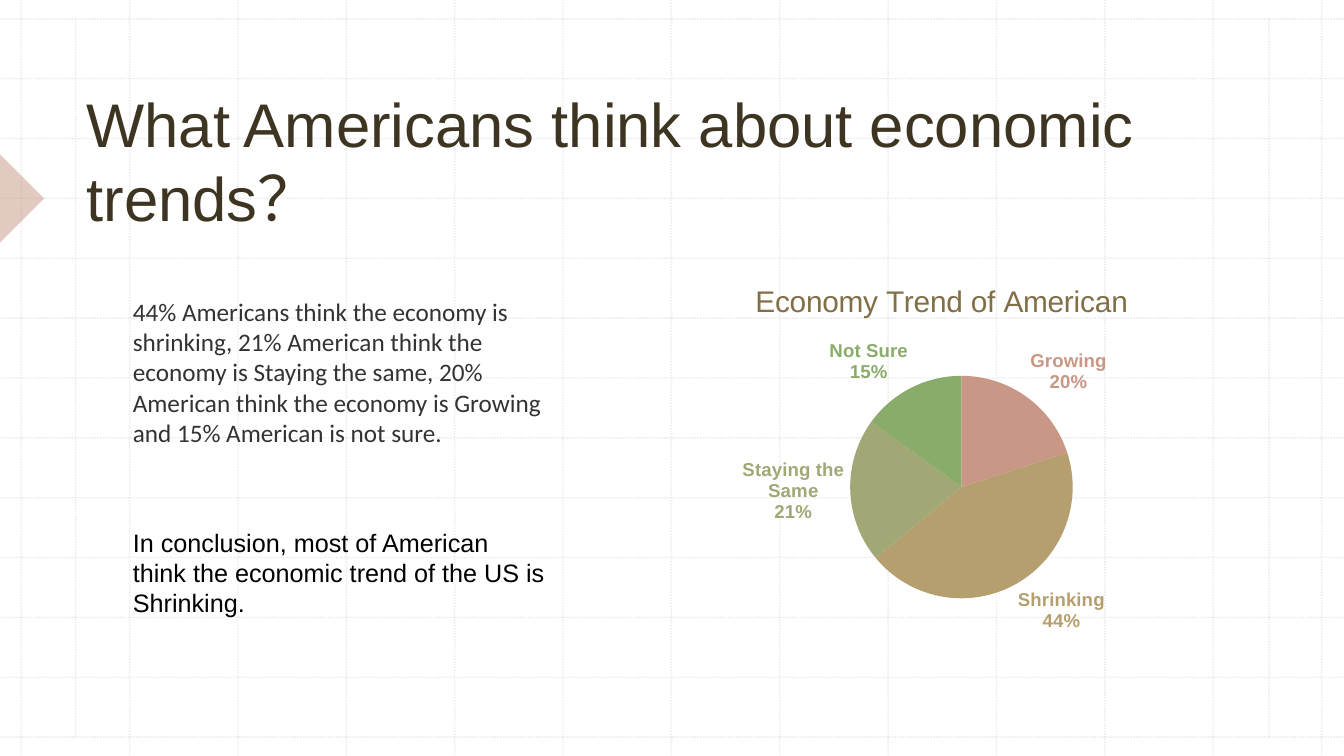
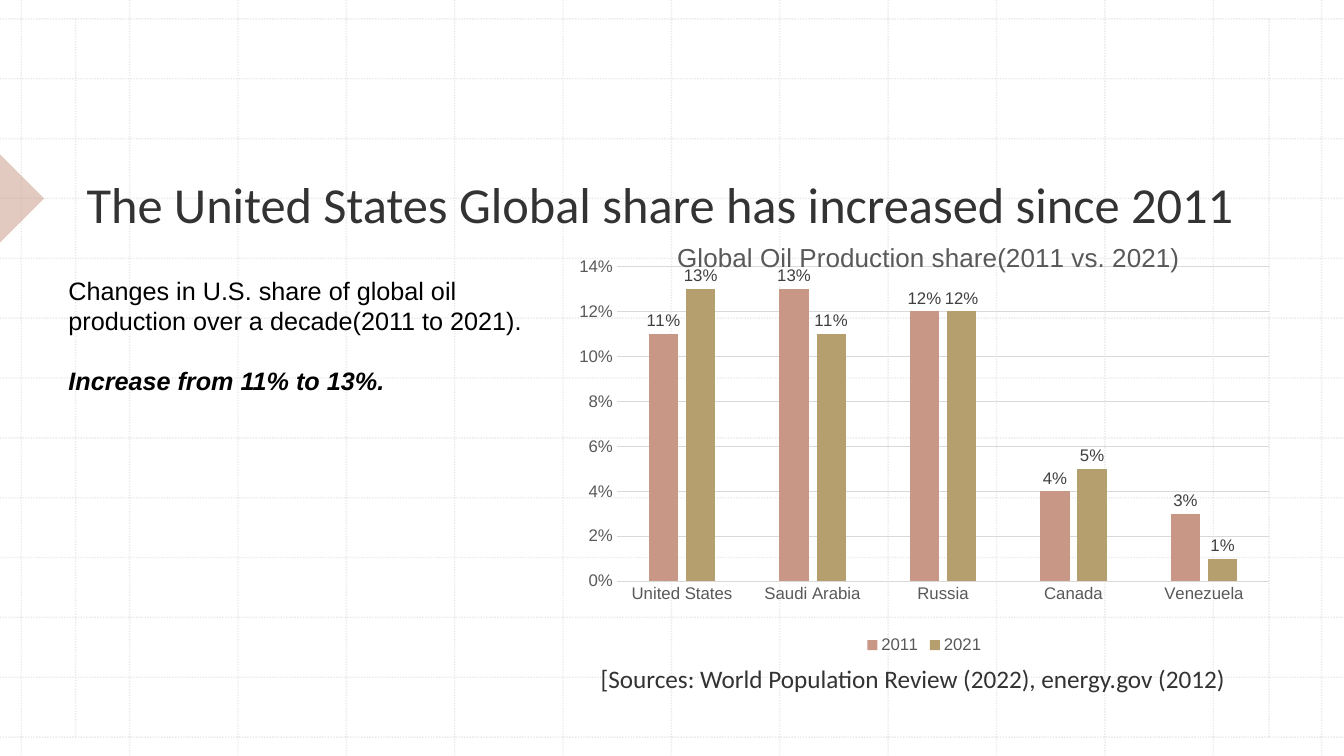
from lxml import etree
from pptx import Presentation
from pptx.chart.data import CategoryChartData
from pptx.dml.color import RGBColor
from pptx.enum.chart import (XL_CHART_TYPE, XL_LABEL_POSITION,
                             XL_LEGEND_POSITION, XL_TICK_MARK)
from pptx.enum.dml import MSO_LINE
from pptx.enum.shapes import MSO_CONNECTOR, MSO_SHAPE
from pptx.enum.text import MSO_ANCHOR
from pptx.oxml import parse_xml
from pptx.oxml.ns import nsdecls, qn
from pptx.util import Pt

# Colours
GRID = RGBColor(0xBC, 0xBC, 0xBC)
ROSE = RGBColor(0xC8, 0x97, 0x85)
SAND = RGBColor(0xB5, 0x9F, 0x6F)
OLIVE = RGBColor(0xA2, 0xA7, 0x76)
GREEN = RGBColor(0x8A, 0xAC, 0x6A)
BROWN = RGBColor(0x3D, 0x35, 0x22)
BRONZE = RGBColor(0x80, 0x6F, 0x47)
CHARCOAL = RGBColor(0x33, 0x33, 0x33)
BLACK = RGBColor(0, 0, 0)
AXIS_TEXT = RGBColor(0x59, 0x59, 0x59)
VALUE_TEXT = RGBColor(0x40, 0x40, 0x40)
RULE = RGBColor(0xD9, 0xD9, 0xD9)

# Page and background grid, in points
WIDTH, HEIGHT = 960, 540
COLUMN_START, COLUMN_STEP = 15.2, 77.4
ROW_START, ROW_STEP = 13.5, 42.75
GRID_COUNT = 13
ROW_END = ROW_START + ROW_STEP * (GRID_COUNT - 1)
MARGIN_LINES = (54, 906.5)


def style_font(font, size=18, name="Arial", color=BLACK, bold=False, italic=False):
    font.size = Pt(size)
    font.name = name
    font.color.rgb = color
    font.bold = bold
    font.italic = italic


def add_text(para, text, **style):
    span = para.add_run()
    span.text = text
    style_font(span.font, **style)


def set_alpha(color_format, percent):
    """Make a solid colour partly transparent."""
    for color in color_format.iter(qn("a:srgbClr")):
        etree.SubElement(color, qn("a:alpha")).set("val", str(percent * 1000))


def set_layout(parent, x, y, width=None, height=None):
    """Place a chart title or plot area by fractions of the chart."""
    for old in parent.findall(qn("c:layout")):
        parent.remove(old)
    parts = [("xMode", "edge"), ("yMode", "edge"), ("x", x), ("y", y)]
    if width is not None:
        parts = [("layoutTarget", "inner")] + parts + [("w", width), ("h", height)]
    layout = etree.Element(qn("c:layout"))
    manual = etree.SubElement(layout, qn("c:manualLayout"))
    for tag, value in parts:
        etree.SubElement(manual, qn("c:" + tag)).set("val", str(value))
    text = parent.find(qn("c:tx"))
    if text is not None:
        text.addnext(layout)
    else:
        parent.insert(0, layout)


class Slides:
    """Shared style and the slide being filled."""

    def __init__(self):
        self.deck = Presentation()
        self.deck.slide_width = Pt(WIDTH)
        self.deck.slide_height = Pt(HEIGHT)
        self.page = None

    def new_page(self):
        self.page = self.deck.slides.add_slide(self.deck.slide_layouts[6])
        for index in range(GRID_COUNT):
            x = COLUMN_START + COLUMN_STEP * index
            y = ROW_START + ROW_STEP * index
            self.grid_line(x, 0, x, HEIGHT)
            self.grid_line(0, y, WIDTH, y)
        for x in MARGIN_LINES:
            self.grid_line(x, ROW_START, x, ROW_END)
        self.marker()

    def grid_line(self, x1, y1, x2, y2):
        line = self.page.shapes.add_connector(
            MSO_CONNECTOR.STRAIGHT, Pt(x1), Pt(y1), Pt(x2), Pt(y2))
        line.line.color.rgb = GRID
        line.line.width = Pt(1)
        line.line.dash_style = MSO_LINE.ROUND_DOT
        properties = line._element.spPr
        set_alpha(properties, 30)
        etree.SubElement(properties, qn("a:effectLst"))

    def marker(self):
        shape = self.page.shapes.add_shape(
            MSO_SHAPE.RIGHT_TRIANGLE, Pt(-22.3), Pt(119.5), Pt(44.6), Pt(44.6))
        shape.rotation = 225
        shape.shadow.inherit = False
        shape.line.fill.background()
        shape.fill.solid()
        shape.fill.fore_color.rgb = ROSE
        set_alpha(shape._element.spPr, 50)

    def text(self, left, top, width, height, *paragraphs,
             gap=0, anchor=MSO_ANCHOR.TOP):
        """Each paragraph is a pair of its words and its format."""
        box = self.page.shapes.add_textbox(Pt(left), Pt(top), Pt(width), Pt(height))
        frame = box.text_frame
        frame.word_wrap = True
        frame.vertical_anchor = anchor
        for index, (words, style) in enumerate(paragraphs):
            para = frame.add_paragraph() if index else frame.paragraphs[0]
            if index:
                para.space_before = Pt(gap)
            add_text(para, words, **style)

    def title(self, words, width, **style):
        self.text(54.7, 56.9, width, 113.4, (words, style), anchor=MSO_ANCHOR.BOTTOM)

    def chart(self, kind, frame, title, title_at, plot_at, data, **title_style):
        chart = self.page.shapes.add_chart(
            kind, *(Pt(length) for length in frame), data).chart
        style_font(chart.font, size=10)
        chart.has_legend = False
        chart.has_title = True
        add_text(chart.chart_title.text_frame.paragraphs[0], title, **title_style)
        chart.chart_title.include_in_layout = False
        # Clear backgrounds, so that the grid shows through
        body = chart.element.find(qn("c:chart"))
        plot_area = body.find(qn("c:plotArea"))
        set_layout(body.find(qn("c:title")), *title_at)
        set_layout(plot_area, *plot_at)
        clear = f'<c:spPr {nsdecls("c", "a")}><a:noFill/><a:ln><a:noFill/></a:ln></c:spPr>'
        plot_area.append(parse_xml(clear))
        body.addnext(parse_xml(clear))
        return chart

    def pie(self, frame, title, slices):
        data = CategoryChartData(number_format="0")
        data.categories = [name for name, value, color in slices]
        data.add_series("Series 1", [value for name, value, color in slices])
        chart = self.chart(XL_CHART_TYPE.PIE, frame, title, (0.165, 0.055),
                           (0.345, 0.3, 0.4, 0.57), data, size=21.3, color=BRONZE)
        plot = chart.plots[0]
        plot.vary_by_categories = True
        for index, (name, value, color) in enumerate(slices):
            point = plot.series[0].points[index]
            point.format.fill.solid()
            point.format.fill.fore_color.rgb = color
            point.format.line.fill.background()
            style_font(point.data_label.font, size=13.3, color=color, bold=True)
            point.data_label.position = XL_LABEL_POSITION.OUTSIDE_END
        # Category and percentage on separate lines
        for label in chart.element.iter(qn("c:dLbl")):
            for tag, shown in (("showVal", 0), ("showCatName", 1), ("showPercent", 1)):
                label.find(qn("c:" + tag)).set("val", str(shown))
            separator = etree.Element(qn("c:separator"))
            separator.text = "\n"
            label.find(qn("c:showBubbleSize")).addnext(separator)

    def columns(self, frame, title, categories, series):
        data = CategoryChartData(number_format="0%")
        data.categories = categories
        for name, values, color in series:
            data.add_series(name, values)
        chart = self.chart(XL_CHART_TYPE.COLUMN_CLUSTERED, frame, title, (0.151, 0.05),
                           (0.074, 0.119, 0.904, 0.708), data,
                           size=18.6, color=AXIS_TEXT)
        plot = chart.plots[0]
        plot.vary_by_categories = False
        plot.gap_width = 219
        plot.overlap = -27
        for bars, (name, values, color) in zip(plot.series, series):
            bars.format.fill.solid()
            bars.format.fill.fore_color.rgb = color
            labels = bars.data_labels
            labels.show_value = True
            labels.position = XL_LABEL_POSITION.OUTSIDE_END
            labels.number_format = "0%"
            labels.number_format_is_linked = False
            style_font(labels.font, size=12, color=VALUE_TEXT)

        # Axes and legend
        for axis in (chart.category_axis, chart.value_axis):
            axis.major_tick_mark = XL_TICK_MARK.NONE
            axis.minor_tick_mark = XL_TICK_MARK.NONE
            style_font(axis.tick_labels.font, size=12, color=AXIS_TEXT)
        values_axis = chart.value_axis
        values_axis.minimum_scale = 0
        values_axis.maximum_scale = 0.14
        values_axis.major_unit = 0.02
        values_axis.tick_labels.number_format = "0%"
        values_axis.tick_labels.number_format_is_linked = False
        values_axis.format.line.fill.background()
        for line in (chart.category_axis.format.line,
                     values_axis.major_gridlines.format.line):
            line.color.rgb = RULE
            line.width = Pt(0.75)
        chart.has_legend = True
        chart.legend.position = XL_LEGEND_POSITION.BOTTOM
        chart.legend.include_in_layout = False
        style_font(chart.legend.font, size=12, color=AXIS_TEXT)


def main():
    slides = Slides()
    note = dict(name="Calibri", color=CHARCOAL)

    # Opinions on the economy
    slides.new_page()
    slides.title("What Americans think about economic trends？", 813,
                 size=44, color=BROWN)
    slides.pie((470.2, 182.9, 397.4, 282.2), "Economy Trend of American", [
        ("Growing", 20, ROSE), ("Shrinking", 44, SAND),
        ("Staying the Same", 21, OLIVE), ("Not Sure", 15, GREEN)])
    slides.text(87.8, 208, 334, 116.6, (
        "44% Americans think the economy is shrinking, 21% American think the "
        "economy is Staying the same, 20% American think the economy is Growing "
        "and 15% American is not sure.", note))
    slides.text(87.8, 373, 310.3, 72.7, (
        "In conclusion, most of American think the economic trend of the US is "
        "Shrinking.", {}))

    # Oil production shares
    slides.new_page()
    slides.title("The United States Global share has increased since 2011", 850.3,
                 size=36, **note)
    slides.columns(
        (402.5, 152.6, 515.5, 317.5), "Global Oil Production share(2011 vs. 2021)",
        ["United States", "Saudi Arabia", "Russia", "Canada", "Venezuela"],
        [("2011", [0.11, 0.13, 0.12, 0.04, 0.03], ROSE),
         ("2021", [0.13, 0.11, 0.12, 0.05, 0.01], SAND)])
    slides.text(421.9, 470.2, 530, 36, (
        "[Sources: World Population Review (2022), energy.gov (2012)", note))
    slides.text(41.8, 193, 347.8, 94.3, (
        "Changes in U.S. share of global oil production over a decade"
        "(2011 to 2021).", {}),
        ("Increase from 11% to 13%.", dict(bold=True, italic=True)), gap=21.5)

    slides.deck.save("out.pptx")


if __name__ == "__main__":
    main()
